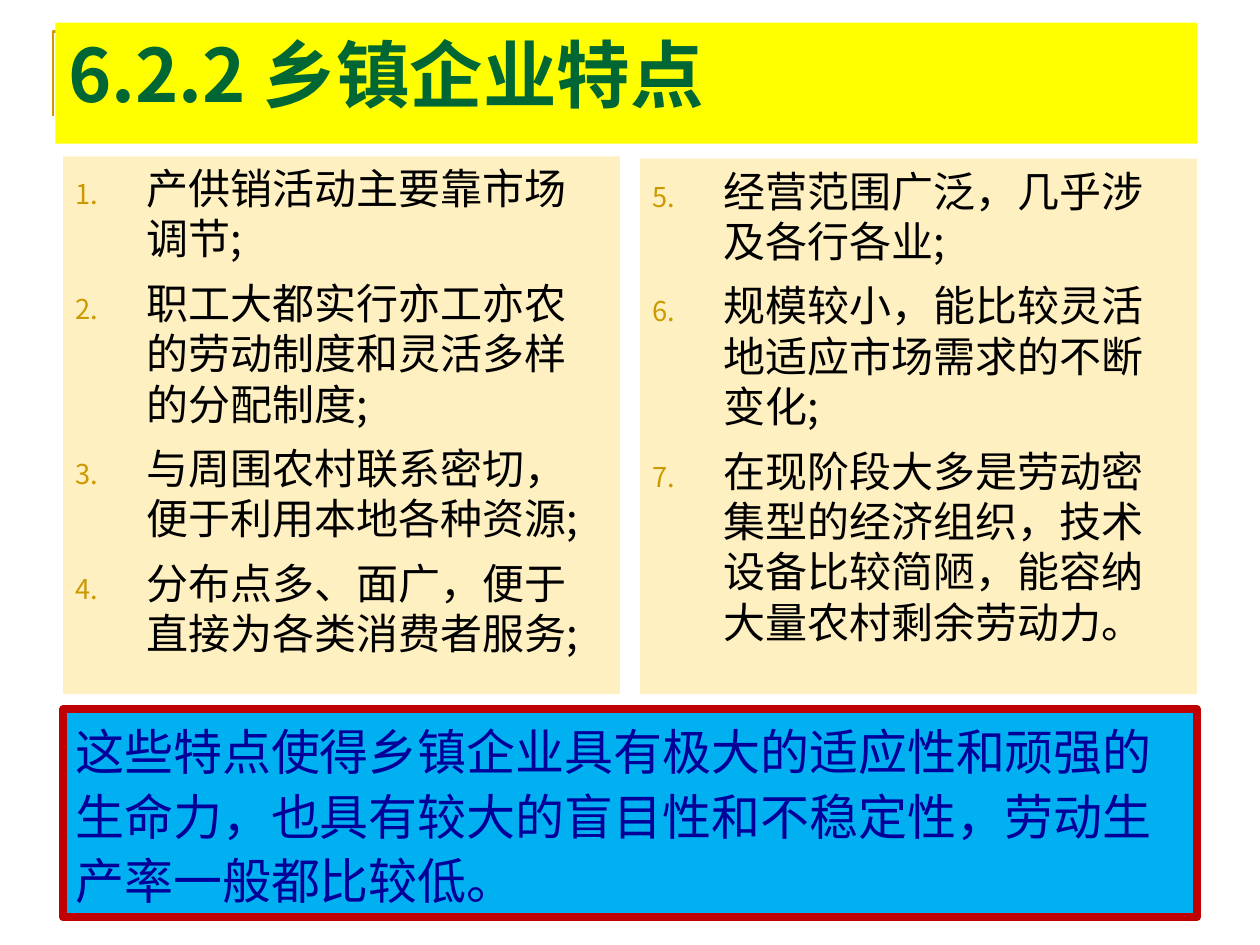
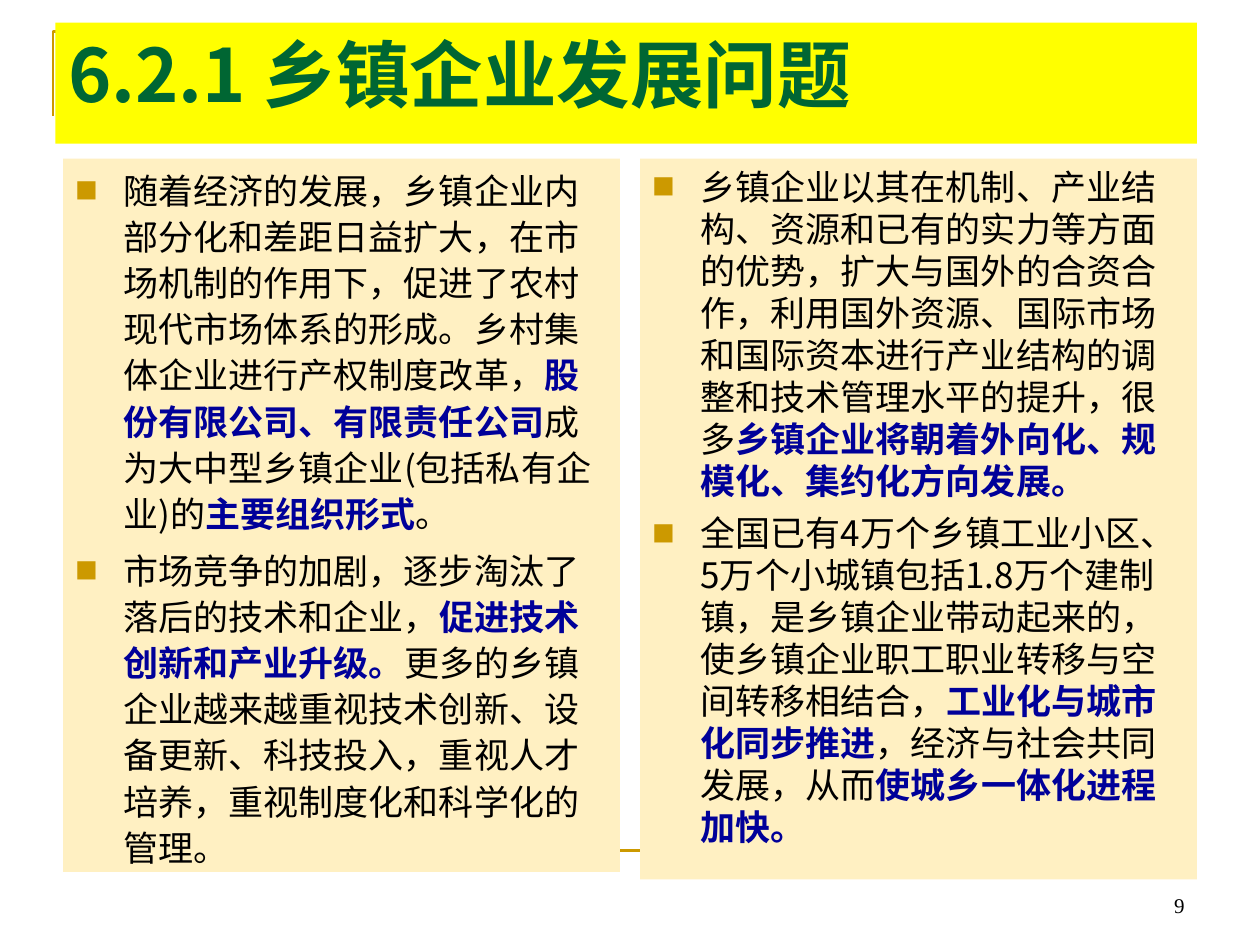
"""Build two slides on the traits and problems of township enterprises."""
from lxml import etree
from pptx import Presentation
from pptx.dml.color import RGBColor
from pptx.enum.shapes import MSO_CONNECTOR, MSO_SHAPE
from pptx.enum.text import MSO_ANCHOR, MSO_AUTO_SIZE, PP_ALIGN
from pptx.oxml.ns import qn
from pptx.util import Inches, Pt

TOP, BOTTOM = MSO_ANCHOR.TOP, MSO_ANCHOR.BOTTOM
LEFT, RIGHT = PP_ALIGN.LEFT, PP_ALIGN.RIGHT
NO_FIT = MSO_AUTO_SIZE.NONE
STRAIGHT, RECTANGLE = MSO_CONNECTOR.STRAIGHT, MSO_SHAPE.RECTANGLE

GOLD = RGBColor(0xCC, 0x99, 0x00)
CREAM = RGBColor(0xFF, 0xF0, 0xC2)
YELLOW = RGBColor(0xFF, 0xFF, 0x00)
GREEN = RGBColor(0x00, 0x66, 0x33)
SKY = RGBColor(0x00, 0xB0, 0xF0)
RED = RGBColor(0xC0, 0x00, 0x00)
NAVY = RGBColor(0x00, 0x00, 0x99)
BLACK = RGBColor(0x00, 0x00, 0x00)

SANS, SERIF = "Noto Sans CJK SC", "Times New Roman"
LINE_HEIGHT = 1.2

MARGIN, COLUMN_WIDTH, GAP = 0.5, 4.42, 0.16
CONTENT_WIDTH = 2 * COLUMN_WIDTH + GAP
TITLE_AREA = (0.44, 0.18, 9.06, 0.96)
SUMMARY_AREA = (MARGIN, 5.63, CONTENT_WIDTH, 1.65)
NUMBER_AREA = (7.17, 6.83, 2.33, 0.5)

NUMBERED = {"size": 24, "indent": 0.56, "before": 4, "after": 4}
BULLETED = {"size": 20, "indent": 0.38, "before": 6}

# Within a paragraph, every second piece of text is emphasised.
SLIDES = [
    {
        "title": "6.2.2 乡镇企业特点",
        "columns": [
            {"top": 1.24, "height": 4.27, "format": NUMBERED, "start": 1, "items": [
                ["产供销活动主要靠市场调节;"],
                ["职工大都实行亦工亦农的劳动制度和灵活多样的分配制度;"],
                ["与周围农村联系密切，便于利用本地各种资源;"],
                ["分布点多、面广，便于直接为各类消费者服务;"],
            ]},
            {"top": 1.26, "height": 4.25, "format": NUMBERED, "start": 5, "items": [
                ["经营范围广泛，几乎涉及各行各业;"],
                ["规模较小，能比较灵活地适应市场需求的不断变化;"],
                ["在现阶段大多是劳动密集型的经济组织，技术设备比较简陋，"
                 "能容纳大量农村剩余劳动力。"],
            ]},
        ],
        "summary": "这些特点使得乡镇企业具有极大的适应性和顽强的生命力，"
                   "也具有较大的盲目性和不稳定性，劳动生产率一般都比较低。",
    },
    {
        "title": "6.2.1 乡镇企业发展问题",
        "columns": [
            {"top": 1.26, "height": 5.66, "format": {**BULLETED, "spacing": 1.1}, "items": [
                ["随着经济的发展，乡镇企业内部分化和差距日益扩大，在市场机制的作用下，"
                 "促进了农村现代市场体系的形成。乡村集体企业进行产权制度改革，",
                 "股份有限公司、有限责任公司",
                 "成为大中型乡镇企业(包括私有企业)的", "主要组织形式", "。"],
                ["市场竞争的加剧，逐步淘汰了落后的技术和企业，",
                 "促进技术创新和产业升级。",
                 "更多的乡镇企业越来越重视技术创新、设备更新、科技投入，"
                 "重视人才培养，重视制度化和科学化的管理。"],
            ]},
            {"top": 1.26, "height": 5.72, "format": BULLETED, "items": [
                ["乡镇企业以其在机制、产业结构、资源和已有的实力等方面的优势，"
                 "扩大与国外的合资合作，利用国外资源、国际市场和国际资本进行产业结构的调整"
                 "和技术管理水平的提升，很多",
                 "乡镇企业将朝着外向化、规模化、集约化方向发展。"],
                ["全国已有4万个乡镇工业小区、5万个小城镇包括1.8万个建制镇，"
                 "是乡镇企业带动起来的，使乡镇企业职工职业转移与空间转移相结合，",
                 "工业化与城市化同步推进", "，经济与社会共同发展，从而",
                 "使城乡一体化进程加快。"],
            ]},
        ],
        "number": "9",
    },
]


def place(shape, area):
    for side, length in zip(("left", "top", "width", "height"), area):
        setattr(shape, side, Inches(length))


def fill(shape, color):
    shape.fill.solid()
    shape.fill.fore_color.rgb = color


def outline(shape, color, width):
    shape.line.color.rgb = color
    shape.line.width = Pt(width)


def prepare_frame(shape, anchor=TOP):
    frame = shape.text_frame
    settings = {"word_wrap": True, "auto_size": NO_FIT, "vertical_anchor": anchor}
    for name, value in settings.items():
        setattr(frame, name, value)
    return frame


def add_span(para, text, size, color, bold=False, face=SANS):
    span = para.add_run()
    span.text = text
    for name, value in {"name": face, "size": Pt(size), "bold": bold}.items():
        setattr(span.font, name, value)
    span.font.color.rgb = color
    properties = span.font.color.rgb is not None and span._r.get_or_add_rPr()
    etree.SubElement(properties, qn("a:ea"), typeface=face)


def format_para(para, size, spacing=1.0, before=0, after=0, align=LEFT):
    settings = {"alignment": align, "line_spacing": Pt(round(size * LINE_HEIGHT * spacing, 1)),
                "space_before": Pt(before), "space_after": Pt(after)}
    for name, value in settings.items():
        setattr(para, name, value)


def write_line(shape, text, size, color, bold=False, face=SANS, anchor=TOP, **layout):
    para = prepare_frame(shape, anchor).paragraphs[0]
    format_para(para, size, **layout)
    add_span(para, text, size, color, bold, face)


def mark_item(para, indent, start):
    properties = para._p.get_or_add_pPr()
    properties.set("marL", str(Inches(indent)))
    properties.set("indent", str(-Inches(indent)))
    color = etree.SubElement(properties, qn("a:buClr"))
    etree.SubElement(color, qn("a:srgbClr"), val=str(GOLD))
    etree.SubElement(properties, qn("a:buSzPct"), val="65000")
    etree.SubElement(properties, qn("a:buFont"), typeface=SANS)
    if start:
        etree.SubElement(properties, qn("a:buAutoNum"), type="arabicPeriod", startAt=str(start))
    else:
        etree.SubElement(properties, qn("a:buChar"), char="■")


def fill_column(shape, column, index):
    left = MARGIN + index * (COLUMN_WIDTH + GAP)
    place(shape, (left, column["top"], COLUMN_WIDTH, column["height"]))
    fill(shape, CREAM)
    layout = dict(column["format"])
    size, indent = layout.pop("size"), layout.pop("indent")
    frame = prepare_frame(shape)
    for number, pieces in enumerate(column["items"]):
        para = frame.add_paragraph() if number else frame.paragraphs[0]
        format_para(para, size, **layout)
        mark_item(para, indent, column.get("start"))
        for position, text in enumerate(pieces):
            strong = position % 2 == 1
            add_span(para, text, size, NAVY if strong else BLACK, strong)


def add_shared_lines(page):
    """Draw the gold corner and base line, then hand them to the layout."""
    builder = page.shapes.build_freeform(Inches(0.42), Inches(0.92))
    builder.add_line_segments([(Inches(0.42), Inches(0.25)), (Inches(9.42), Inches(0.25))],
                              close=False)
    corner = builder.convert_to_shape()
    corner.fill.background()
    corner.shadow.inherit = False
    base = page.shapes.add_connector(STRAIGHT, Inches(MARGIN), Inches(6.75),
                                     Inches(MARGIN + CONTENT_WIDTH), Inches(6.75))
    for shape in (corner, base):
        outline(shape, GOLD, 1.5)
    etree.SubElement(base.element.spPr, qn("a:effectLst"))
    for shape in (corner, base):
        page.slide_layout.shapes.element.append(shape.element)


def add_summary(page, text):
    box = page.shapes.add_shape(RECTANGLE, 0, 0, 0, 0)
    place(box, SUMMARY_AREA)
    box.shadow.inherit = False
    fill(box, SKY)
    outline(box, RED, 4.5)
    write_line(box, text, 28, NAVY, spacing=1.1)


def add_number(page, text):
    box = page.shapes.add_textbox(0, 0, 0, 0)
    place(box, NUMBER_AREA)
    write_line(box, text, 12, BLACK, face=SERIF, anchor=BOTTOM, align=RIGHT)


def build_page(page, content):
    title, *bodies = page.placeholders
    place(title, TITLE_AREA)
    fill(title, YELLOW)
    write_line(title, content["title"], 42, GREEN, bold=True)
    for index, (body, column) in enumerate(zip(bodies, content["columns"])):
        fill_column(body, column, index)
    if "summary" in content:
        add_summary(page, content["summary"])
    if "number" in content:
        add_number(page, content["number"])


def main():
    deck = Presentation()
    deck.slide_width, deck.slide_height = Inches(10), Inches(7.5)
    two_columns = deck.slide_layouts[3]
    pages = [deck.slides.add_slide(two_columns) for _ in SLIDES]
    add_shared_lines(pages[0])
    for page, content in zip(pages, SLIDES):
        build_page(page, content)
    deck.save("out.pptx")


if __name__ == "__main__":
    main()
